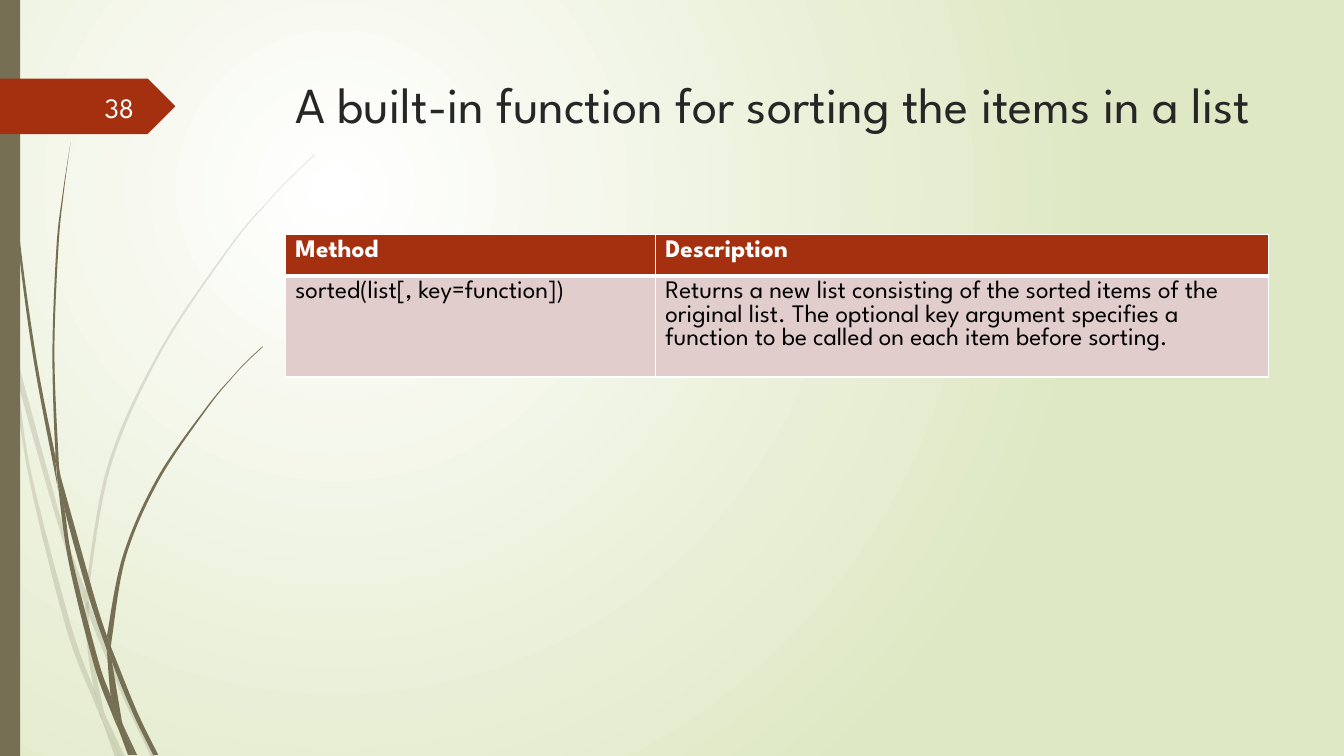
import pptx
import pptx.util
import pptx.dml.color
import pptx.enum.shapes
import pptx.enum.text
import pptx.oxml
import pptx.oxml.ns

UNIT = 9144
FONT = "League Spartan"
OLIVE, RED, WHITE = "766F54", "A53010", "FFFFFF"
TITLE = "A built-in function for sorting the items in a list"
NUMBER = "38"
ROWS = [
    ("Method", "Description"),
    ("sorted(list[, key=function])",
     "Returns a new list consisting of the sorted items of the original list. "
     "The optional key argument specifies a function to be called on each item "
     "before sorting."),
]
WIDTHS, HEIGHT = (367, 608), 41
STYLES = [(RED, WHITE, True), ("E1CDCC", "000000", False)]
EDGES = [{"L": 1, "R": 1, "T": 1, "B": 3}, {"L": 1, "R": 1, "T": 3, "B": 1}]

PALE = [
    ([(11, 350), (9, 322), (0, 282)], [(0, 299), (10, 344), (11, 350)]),
    ([(14, 345), (62, 520), (85, 586)], [(84, 599), (58, 522), (17, 376), (14, 345)]),
    ([(88, 596), (92, 607), (127, 692), (155, 751)],
     [(150, 751), (123, 694), (88, 610), (88, 596)]),
    ([(119, 751), (124, 751)], [(105, 711), (119, 751)]),
    ([(11, 350), (17, 376), (31, 469), (70, 619), (93, 683)],
     [(99, 707), (101, 714)], [(92, 693), (65, 621), (28, 470), (11, 350)]),
    ([(84, 599), (87, 646), (93, 683), (96, 692), (105, 711)],
     [(103, 706), (91, 646), (88, 610)], [(88, 608), (84, 599)]),
    ([(88, 584), (110, 462), (160, 349), (229, 245), (268, 198), (290, 175), (312, 154)],
     [(312, 153), (289, 175), (268, 197), (228, 244), (158, 348), (107, 461),
      (85, 584), (85, 586)], [(88, 596), (88, 584)]),
    ([(101, 714), (114, 751)], [(119, 751), (101, 714)]),
    ([(88, 608), (88, 610), (88, 596)], [(85, 586), (84, 599)], [(88, 608)]),
    ([(96, 692), (93, 683)], [(99, 707), (101, 714), (119, 751)], [(105, 711), (96, 692)]),
]
DARK = [
    ([(3, 0), (4, 48), (7, 110), (17, 233), (33, 355), (56, 477), (57, 481)],
     [(55, 457), (55, 453), (36, 355), (19, 232), (8, 109), (5, 48), (4, 0)]),
    ([(60, 472), (93, 590), (106, 631)],
     [(106, 645), (88, 592), (64, 505), (60, 472)]),
    ([(110, 641), (113, 649), (136, 706), (157, 749)],
     [(152, 749), (132, 708), (111, 656), (110, 641)]),
    ([(57, 477), (68, 557), (93, 659), (111, 708), (117, 722)],
     [(116, 717), (110, 691), (98, 657), (72, 556), (64, 505), (57, 477)]),
    ([(60, 472), (58, 453), (54, 349), (58, 245), (63, 193), (70, 141)],
     [(70, 141), (62, 193), (56, 245), (52, 349), (55, 449), (60, 472)]),
    ([(133, 749), (136, 749)], [(122, 719), (133, 749)]),
    ([(57, 477), (64, 505)], [(60, 472), (55, 449)], [(55, 453), (57, 477)]),
    ([(111, 633), (125, 552), (158, 476), (205, 406), (231, 374), (245, 359), (261, 344)],
     [(260, 344), (245, 358), (231, 373), (204, 405), (156, 474), (122, 551),
      (106, 631)], [(110, 641), (111, 633)]),
    ([(117, 722), (127, 749)], [(131, 749), (117, 722)]),
    ([(106, 645), (110, 691), (116, 706), (122, 719)],
     [(121, 716), (111, 656)], [(109, 651), (106, 645)]),
    ([(106, 645), (109, 651), (111, 656)], [(110, 641), (106, 631)], [(106, 645)]),
    ([(116, 706), (110, 691)], [(116, 717), (117, 722), (130, 749)],
     [(133, 749), (122, 719), (116, 706)]),
]


def px(*vals):
    return [pptx.util.Emu(v * UNIT) for v in vals]


def rgb(code):
    return pptx.dml.color.RGBColor.from_string(code)


def node(xml):
    return pptx.oxml.parse_xml(xml.replace(">", " " + pptx.oxml.ns.nsdecls("a") + ">", 1))


def paint(shape, code):
    shape.shadow.inherit = False
    shape.fill.solid()
    shape.fill.fore_color.rgb = rgb(code)
    shape.line.fill.background()


def style(frame, size, code, bold=False, align="LEFT"):
    for para in frame.paragraphs:
        para.alignment = getattr(pptx.enum.text.PP_ALIGN, align)
        for run in para.runs:
            run.font.name = FONT
            run.font.size = pptx.util.Pt(size)
            run.font.bold = bold
            run.font.color.rgb = rgb(code)


def bend(pts):
    ends = [pts[0]] + pts + [pts[-1]]
    out = []
    for a, b, c, d in zip(ends, ends[1:], ends[2:], ends[3:]):
        out.append(tuple(q + (r - p) / 6 for p, q, r in zip(a, b, c)))
        out.append(tuple(r - (s - q) / 6 for q, r, s in zip(b, c, d)))
        out.append(c)
    return out


def blade(shapes, edges):
    pts = [edges[0][0]]
    for edge in edges:
        if edge[0] != pts[-1]:
            pts += bend([pts[-1], edge[0]])
        pts += bend(edge)
    pts = [(x * UNIT, y * UNIT) for x, y in pts]
    form = shapes.build_freeform(*pts[0], scale=1.0)
    form.add_line_segments(pts[1:], close=True)
    shape = form.convert_to_shape()
    lines = list(shape.element.iter(pptx.oxml.ns.qn("a:lnTo")))
    for trio in zip(lines[::3], lines[1::3], lines[2::3]):
        cubic = node("<a:cubicBezTo></a:cubicBezTo>")
        trio[0].addprevious(cubic)
        for line in trio:
            cubic.append(line[0])
            line.getparent().remove(line)
    paint(shape, OLIVE)
    return shape


def backdrop(slide):
    fill = slide.background.fill
    fill.gradient()
    for stop, code in zip(fill.gradient_stops, (WHITE, "DFE8C4")):
        stop.color.rgb = rgb(code)
    grad = slide.element.find(".//" + pptx.oxml.ns.qn("a:gradFill"))
    lin = grad.find(pptx.oxml.ns.qn("a:lin"))
    grad.replace(lin, node('<a:path path="circle"><a:fillToRect l="50000" t="50000" '
                           'r="100000" b="100000"/></a:path>'))


def grid(shapes):
    table = shapes.add_table(2, 2, *px(283, 233, sum(WIDTHS), 2 * HEIGHT)).table
    for col, wide in zip(table.columns, px(*WIDTHS)):
        col.width = wide
    for row, texts, (back, ink, bold), sides in zip(table.rows, ROWS, STYLES, EDGES):
        for cell, text in zip(row.cells, texts):
            cell.text_frame.text = text
            style(cell.text_frame, 18, ink, bold)
            cell.fill.solid()
            cell.fill.fore_color.rgb = rgb(back)
            props = cell._tc.get_or_add_tcPr()
            for i, (side, wide) in enumerate(sides.items()):
                props.insert(i, node(
                    f'<a:ln{side} w="{wide * 12700}"><a:solidFill>'
                    f'<a:srgbClr val="{WHITE}"/></a:solidFill></a:ln{side}>'))


def main():
    deck = pptx.Presentation()
    deck.slide_width, deck.slide_height = px(1333, 750)
    slide = deck.slides.add_slide(deck.slide_layouts[5])
    shapes = slide.shapes
    backdrop(slide)

    for blades, alpha in ((PALE, 20000), (DARK, 100000)):
        group = shapes.add_group_shape()
        for edges in blades:
            shape = blade(group.shapes, edges)
            color = shape.element.spPr.find(".//" + pptx.oxml.ns.qn("a:srgbClr"))
            color.append(node(f'<a:alpha val="{alpha}"></a:alpha>'))

    kinds = pptx.enum.shapes.MSO_SHAPE
    paint(shapes.add_shape(kinds.RECTANGLE, *px(0, 0, 20, 750)), OLIVE)
    paint(shapes.add_shape(kinds.PENTAGON, *px(0, 78, 174, 55)), RED)

    title = shapes.title
    title.left, title.top, title.width, title.height = px(283, 68, 975, 140)
    title.text_frame.text = TITLE
    title.text_frame.vertical_anchor = pptx.enum.text.MSO_ANCHOR.TOP
    style(title.text_frame, 36, "262626")

    frame = shapes.add_textbox(*px(58, 86, 85, 40)).text_frame
    frame.word_wrap = True
    frame.vertical_anchor = pptx.enum.text.MSO_ANCHOR.MIDDLE
    frame.text = NUMBER
    style(frame, 20, "FEFFFF", align="RIGHT")

    grid(shapes)
    deck.save("out.pptx")


if __name__ == "__main__":
    main()
